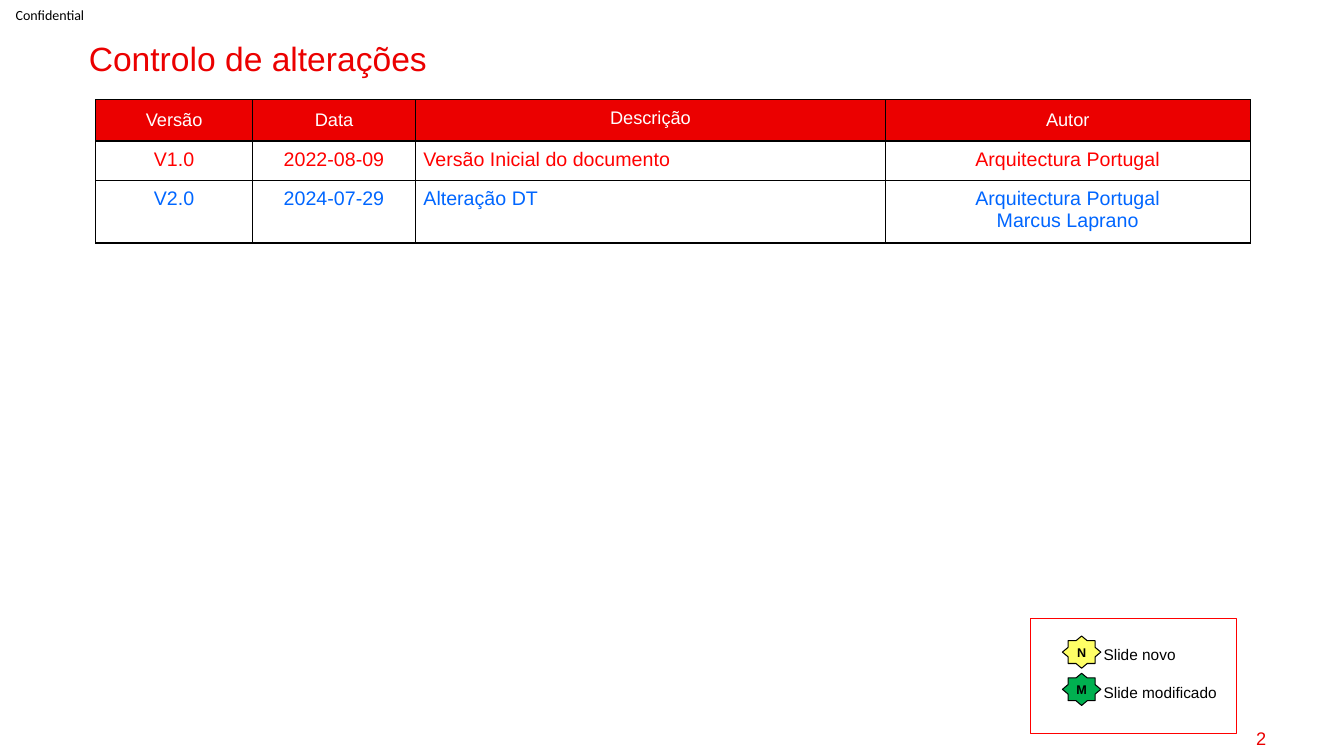
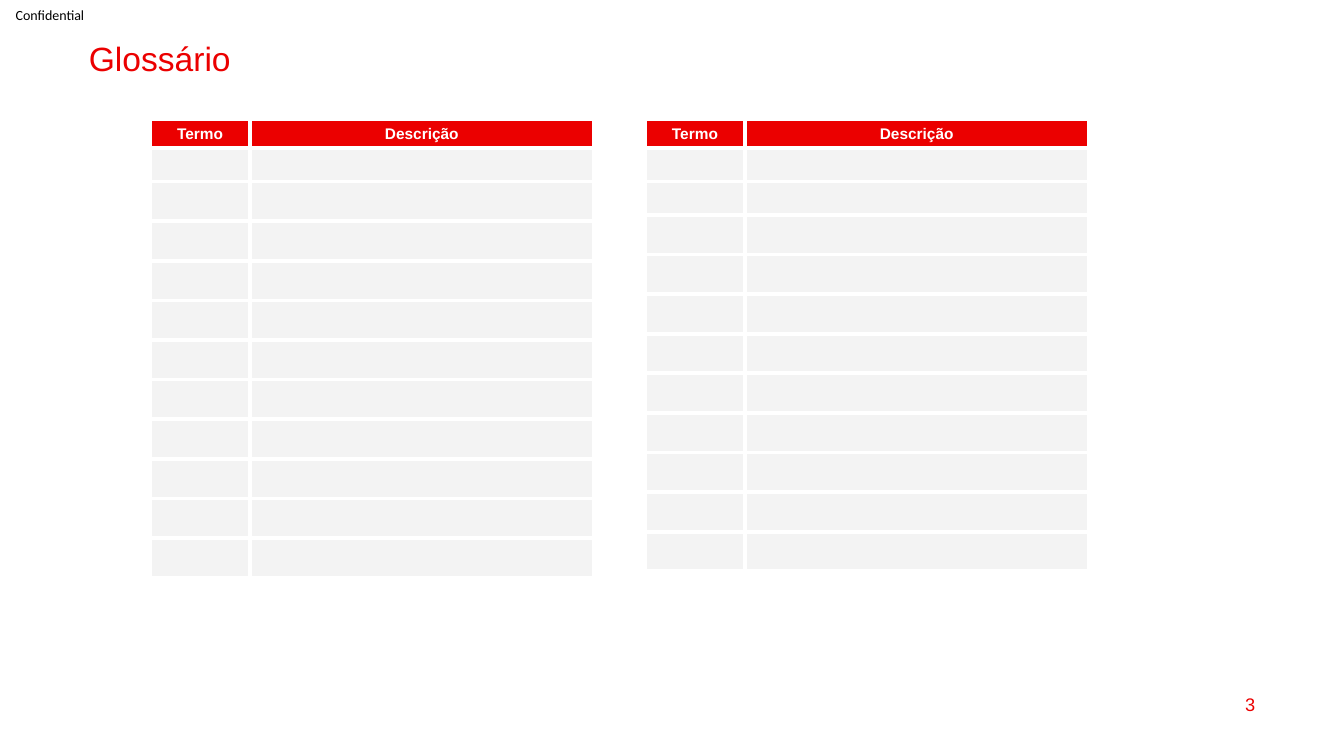
import pptx
import pptx.dml.color
import pptx.enum.shapes
import pptx.enum.text
import pptx.oxml
import pptx.oxml.ns
import pptx.util

Pt = pptx.util.Pt
ALIGN = pptx.enum.text.PP_ALIGN
ANCHOR = pptx.enum.text.MSO_ANCHOR
SHAPE = pptx.enum.shapes.MSO_SHAPE

# Content
CHANGES = {
    "title": "Controlo de alterações",
    "number": ("2", 695.5, 512.6),
    "header": ("Versão", "Data", "Descrição", "Autor"),
    "rows": [
        (("V1.0", "2022-08-09", "Versão Inicial do documento", "Arquitectura Portugal"), "pure_red"),
        (("V2.0", "2024-07-29", "Alteração DT", "Arquitectura Portugal\vMarcus Laprano"), "blue"),
    ],
}
GLOSSARY = {
    "title": "Glossário",
    "number": ("3", 687.6, 488.9),
    "header": ("Termo", "Descrição"),
    # left edge, number of low rows, number of high rows
    "tables": [(107.3, 1, 10), (460.8, 2, 9)],
}
LEGEND = [("N", "Slide novo", "yellow"), ("M", "Slide modificado", "green")]
CONFIDENTIAL = "Confidential"

# Shared style
COLOURS = {
    "red": "EB0000",
    "pure_red": "FF0000",
    "blue": "0066FF",
    "black": "000000",
    "white": "FFFFFF",
    "grey": "F3F3F3",
    "yellow": "FFFF66",
    "green": "00B050",
}
DESCRIPTION_COLUMN = 2
LEGEND_STEP = 26.6


def colour(name):
    return pptx.dml.color.RGBColor.from_string(COLOURS[name])


def lengths(*values):
    return [Pt(value) for value in values]


def format_text(frame, size, colour_name, align=ALIGN.LEFT, bold=False, font="Arial"):
    for paragraph in frame.paragraphs:
        paragraph.alignment = align
        paragraph.font.name = font
        paragraph.font.size = Pt(size)
        paragraph.font.bold = bold
        paragraph.font.color.rgb = colour(colour_name)


def add_text(shapes, box, text, size, colour_name, align=ALIGN.LEFT, anchor=ANCHOR.TOP, font="Arial"):
    shape = shapes.add_textbox(*lengths(*box))
    frame = shape.text_frame
    frame.word_wrap = True
    frame.vertical_anchor = anchor
    frame.text = text
    format_text(frame, size, colour_name, align, font=font)
    return shape


def add_confidential_mark(presentation, slide):
    """The mark belongs to the slide master, so every slide shows it."""
    mark = add_text(slide.shapes, (0, 0, 71.3, 20.9), CONFIDENTIAL, 10, "black",
                    ALIGN.CENTER, ANCHOR.MIDDLE, "Calibri")
    set_margins(mark.text_frame, 0, 0)
    presentation.slide_master.element.cSld.spTree.append(mark.element)


def set_margins(target, horizontal, vertical):
    target.margin_left = target.margin_right = Pt(horizontal)
    target.margin_top = target.margin_bottom = Pt(vertical)


def add_titled_slide(presentation, content):
    slide = presentation.slides.add_slide(presentation.slide_layouts[5])
    title = slide.shapes.title
    title.left, title.top, title.width, title.height = lengths(56.2, 26.6, 847.4, 23.8)
    frame = title.text_frame
    frame.text = content["title"]
    frame.auto_size = pptx.enum.text.MSO_AUTO_SIZE.NONE
    frame.vertical_anchor = ANCHOR.TOP
    frame.paragraphs[0].line_spacing = 0.9
    format_text(frame, 24, "red")
    number, left, top = content["number"]
    add_text(slide.shapes, (left, top, 216, 28.8), number, 13, "red", ALIGN.RIGHT, ANCHOR.MIDDLE)
    return slide


# Tables
def add_table(slide, left, top, widths, heights, border, border_width):
    table = slide.shapes.add_table(
        len(heights), len(widths), *lengths(left, top, sum(widths), sum(heights))).table
    table.first_row = table.horz_banding = False
    for column, width in zip(table.columns, widths):
        column.width = Pt(width)
    for row, height in zip(table.rows, heights):
        row.height = Pt(height)
    for cell in table.iter_cells():
        properties = cell._tc.get_or_add_tcPr()
        for side in ("lnL", "lnR", "lnT", "lnB"):
            properties.append(pptx.oxml.parse_xml(
                f'<a:{side} {pptx.oxml.ns.nsdecls("a")} w="{Pt(border_width)}"><a:solidFill>'
                f'<a:srgbClr val="{COLOURS[border]}"/></a:solidFill></a:{side}>'))
    return table


def fill_cell(cell, fill):
    if fill is None:
        cell.fill.background()
    else:
        cell.fill.solid()
        cell.fill.fore_color.rgb = colour(fill)


def build_changes(slide):
    table = add_table(slide, 68.4, 71.3, (111.9, 116.6, 335.5, 260.6), (29.5, 27, 43), "black", 1)
    rows = [(CHANGES["header"], "white")] + CHANGES["rows"]
    for row_index, (texts, text_colour) in enumerate(rows):
        is_header = row_index == 0
        for column_index, text in enumerate(texts):
            is_description = column_index == DESCRIPTION_COLUMN
            cell = table.cell(row_index, column_index)
            set_margins(cell, 5.6, 5.6)
            cell.vertical_anchor = ANCHOR.MIDDLE if is_header and not is_description else ANCHOR.TOP
            cell.text_frame.text = text
            align = ALIGN.LEFT if is_description and not is_header else ALIGN.CENTER
            format_text(cell.text_frame, 13 if is_header else 14, text_colour, align)
            fill_cell(cell, "red" if is_header else None)


def build_glossary(slide):
    for left, low_rows, high_rows in GLOSSARY["tables"]:
        heights = [20.9] + [23.8] * low_rows + [28.3] * high_rows
        table = add_table(slide, left, 85, (71.3, 245.5), heights, "white", 3)
        for cell in table.iter_cells():
            set_margins(cell, 4.3, 0)
            fill_cell(cell, "grey")
        for column_index, text in enumerate(GLOSSARY["header"]):
            cell = table.cell(0, column_index)
            cell.vertical_anchor = ANCHOR.MIDDLE
            cell.text_frame.text = text
            format_text(cell.text_frame, 11, "white", ALIGN.CENTER, bold=True)
            fill_cell(cell, "red")


# Legend
def add_outlined_shape(shapes, kind, box, line):
    shape = shapes.add_shape(kind, *lengths(*box))
    shape.shadow.inherit = False
    shape.fill.background()
    shape.line.color.rgb = colour(line)
    shape.line.width = Pt(0.75)
    return shape


def build_legend(slide):
    add_outlined_shape(slide.shapes, SHAPE.RECTANGLE, (735.8, 442.1, 147.6, 82.1), "pure_red")
    group = slide.shapes.add_group_shape()
    labels = add_text(group.shapes, (781.2, 457.2, 101.5, 47.5),
                      "\n".join(label for _, label, _ in LEGEND), 11, "black")
    for paragraph in labels.text_frame.paragraphs[1:]:
        paragraph.space_before = Pt(13.7)
    for index, (letter, _, fill) in enumerate(LEGEND):
        badge = add_outlined_shape(group.shapes, SHAPE.STAR_8_POINT,
                                   (758.9, 454.3 + index * LEGEND_STEP, 27.4, 23), "black")
        badge.adjustments[0] = 0.383
        badge.fill.solid()
        badge.fill.fore_color.rgb = colour(fill)
        frame = badge.text_frame
        frame.word_wrap = False
        frame.vertical_anchor = ANCHOR.MIDDLE
        frame.text = letter
        format_text(frame, 9, "black", ALIGN.CENTER, bold=True)


def main():
    presentation = pptx.Presentation()
    presentation.slide_width, presentation.slide_height = lengths(960, 540)

    changes_slide = add_titled_slide(presentation, CHANGES)
    add_confidential_mark(presentation, changes_slide)
    build_changes(changes_slide)
    build_legend(changes_slide)

    build_glossary(add_titled_slide(presentation, GLOSSARY))
    presentation.save("out.pptx")


if __name__ == "__main__":
    main()
